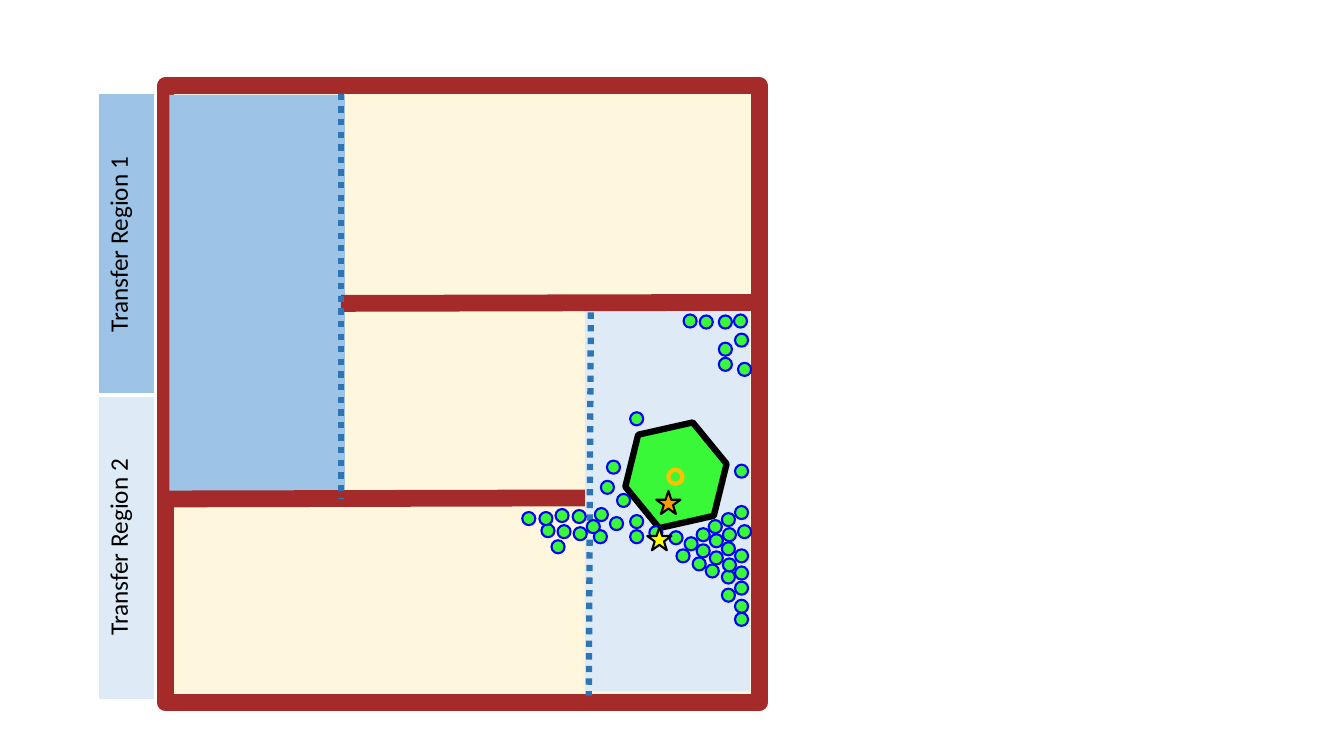
import pptx
import pptx.util
import pptx.dml.color
import pptx.enum.dml
import pptx.enum.shapes
import pptx.enum.text
import pptx.oxml
import pptx.oxml.ns

PX = 9144
SHAPE = pptx.enum.shapes.MSO_SHAPE
COLORS = {
    "wall": "A52A2A",
    "floor": "FFF7DD",
    "region1": "9DC3E6",
    "region2": "DEEBF7",
    "boundary": "2E75B6",
    "agent": "38F838",
    "agent_edge": "0000FF",
    "ring": "FFC000",
    "orange": "FF9900",
    "yellow": "FFFF00",
    "black": "000000",
    "white": "FFFFFF",
}
DOT_SIZE = 13
DOTS = [
    (678, 312), (694, 313), (713, 313), (728, 312), (713, 340), (602, 457),
    (729, 331), (729, 461), (713, 355), (625, 409), (732, 360), (729, 502),
    (716, 509), (732, 521), (729, 608), (729, 595), (729, 577), (729, 562),
    (729, 545), (716, 584), (716, 566), (717, 524), (716, 538), (717, 554),
    (700, 560), (704, 547), (704, 530), (703, 516), (687, 553), (691, 540),
    (691, 524), (671, 545), (679, 533), (664, 527), (644, 522), (625, 526),
    (625, 511), (605, 513), (553, 521), (569, 523), (589, 526), (590, 504),
    (612, 490), (537, 520), (582, 516), (596, 477), (568, 506), (547, 536),
    (551, 505), (535, 508), (518, 508),
]


def px(*lengths):
    return [pptx.util.Emu(n * PX) for n in lengths]


def rgb(name):
    return pptx.dml.color.RGBColor.from_string(COLORS[name])


def set_line(line, color, width):
    line.color.rgb = rgb(color)
    line.width = pptx.util.Pt(width)


def add_figure(slide, kind, box, fill, edge=None, width=0, rotation=0):
    sp = slide.shapes.add_shape(kind, *px(*box))
    sp.shadow.inherit = False
    sp.rotation = rotation
    sp.fill.solid()
    sp.fill.fore_color.rgb = rgb(fill)
    if edge:
        set_line(sp.line, edge, width)
    else:
        sp.line.fill.background()


def add_segment(slide, ends, color, width, dotted=False):
    straight = pptx.enum.shapes.MSO_CONNECTOR.STRAIGHT
    c = slide.shapes.add_connector(straight, *px(*ends))
    set_line(c.line, color, width)
    if dotted:
        c.line.dash_style = pptx.enum.dml.MSO_LINE.ROUND_DOT
    pptx.oxml.ns.qn("a:effectLst")
    effects = pptx.oxml.parse_xml(f'<a:effectLst {pptx.oxml.ns.nsdecls("a")}/>')
    c._element.spPr.append(effects)


def format_cell(cell, text, fill, bottom):
    tc_pr = cell._tc.get_or_add_tcPr()
    tc_pr.set("vert", "vert270")
    for side, width in (("L", 1), ("R", 1), ("T", 1), ("B", bottom)):
        tc_pr.append(pptx.oxml.parse_xml(
            f'<a:ln{side} {pptx.oxml.ns.nsdecls("a")} w="{pptx.util.Pt(width)}">'
            f'<a:solidFill><a:srgbClr val="{COLORS["white"]}"/></a:solidFill>'
            f'</a:ln{side}>'))
    cell.fill.solid()
    cell.fill.fore_color.rgb = rgb(fill)
    cell.vertical_anchor = pptx.enum.text.MSO_ANCHOR.BOTTOM
    cell.text_frame.text = text
    p = cell.text_frame.paragraphs[0]
    p.alignment = pptx.enum.text.PP_ALIGN.CENTER
    font = p.runs[0].font
    font.name = "Calibri"
    font.size = pptx.util.Pt(18)
    font.bold = False
    font.color.rgb = rgb("black")


def add_region_labels(slide):
    table = slide.shapes.add_table(2, 1, *px(98, 93, 55, 601)).table
    table.first_row = False
    table.horz_banding = False
    rows = (("Transfer Region 1", "region1", 299, 3),
            ("Transfer Region 2", "region2", 302, 1))
    for i, (text, fill, height, bottom) in enumerate(rows):
        table.rows[i].height = px(height)[0]
        format_cell(table.cell(i, 0), text, fill, bottom)


def add_maze(slide):
    add_figure(slide, SHAPE.RECTANGLE, (164, 85, 589, 612), "floor", "wall", 12)
    add_figure(slide, SHAPE.RECTANGLE, (580, 301, 164, 385), "region2")
    add_figure(slide, SHAPE.RECTANGLE, (168, 94, 174, 401), "region1")
    for ends in ((338, 301, 746, 300), (164, 495, 580, 494)):
        add_segment(slide, ends, "wall", 12)
    for ends in ((338, 93, 338, 495), (586, 310, 584, 690)):
        add_segment(slide, ends, "boundary", 4.5, dotted=True)


def add_agents(slide):
    add_figure(slide, SHAPE.HEXAGON, (619, 424, 103, 95), "agent", "black", 4.5, 347.3)
    add_figure(slide, SHAPE.STAR_5_POINT, (651, 487, 24, 23), "orange", "black", 1.5)
    add_figure(slide, SHAPE.OVAL, (663, 466, 14, 14), "agent", "ring", 3, 337.6)
    for x, y in DOTS:
        add_figure(slide, SHAPE.OVAL, (x, y, DOT_SIZE, DOT_SIZE),
                   "agent", "agent_edge", 1.5)
    add_figure(slide, SHAPE.STAR_5_POINT, (642, 523, 24, 23), "yellow", "black", 1.5)


def main():
    prs = pptx.Presentation()
    prs.slide_width, prs.slide_height = px(1333, 750)
    slide = prs.slides.add_slide(prs.slide_layouts[6])
    add_maze(slide)
    add_region_labels(slide)
    add_agents(slide)
    prs.save("out.pptx")


if __name__ == "__main__":
    main()
